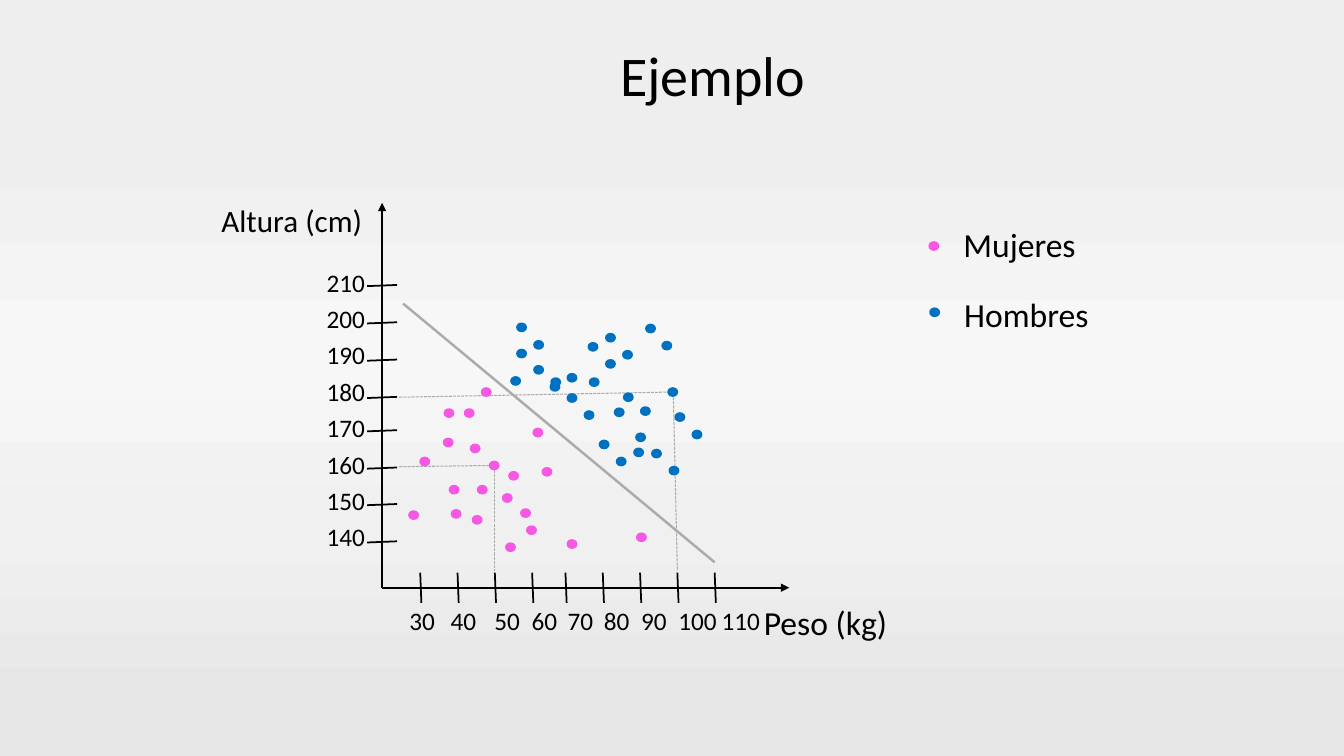
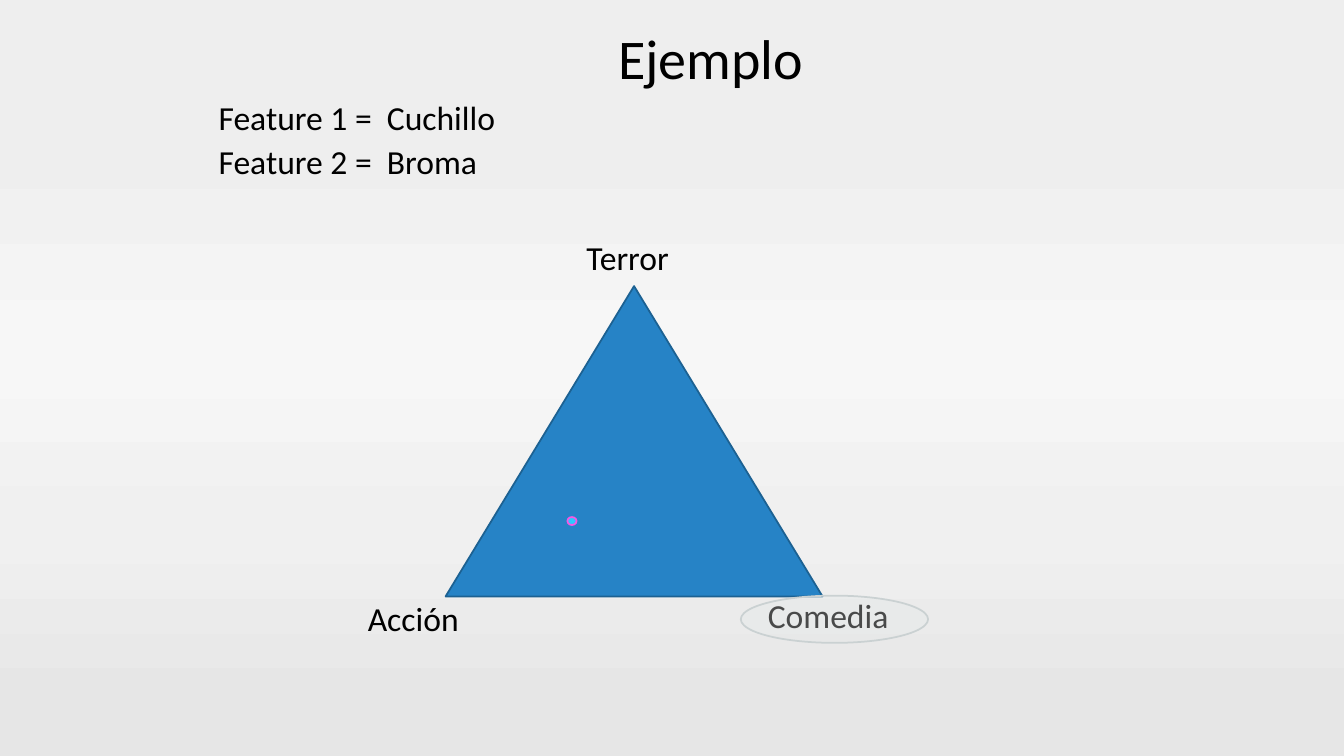
from lxml.etree import SubElement
from pptx import Presentation
from pptx.dml.color import RGBColor
from pptx.enum.dml import MSO_LINE
from pptx.enum.shapes import MSO_CONNECTOR, MSO_SHAPE
from pptx.enum.text import MSO_ANCHOR, PP_ALIGN
from pptx.oxml.ns import qn
from pptx.util import Cm, Pt

FONT = "Calibri"
BLACK, GUIDE_GREY = "000000", "ABABAB"
WOMEN_PINK, MEN_BLUE = "F658E3", "0070C0"
BACKGROUND_STOPS = [(0, "EEEEEE"), (25, "F1F1F1"), (47, "F7F7F7"),
                    (70, "F0F0F0"), (93, "E6E6E6")]

ORIGIN = (9.63, 14.81)
AXIS_TIPS = [(9.63, 5.11), (19.89, 14.81)]
WEIGHT_TICKS = [10.59, 11.53, 12.47, 13.41, 14.25, 15.19, 16.13, 17.07, 18.01]
HEIGHT_TICKS = [7.21, 8.15, 9.09, 10.03, 10.87, 11.81, 12.73, 13.67]
WEIGHT_LABEL_STOPS = [0.76, 1.8, 2.9, 3.84, 4.75, 5.66, 6.6, 7.7, 8.79]
GUIDES = [((10.06, 11.76), (12.34, 11.73)), ((12.47, 11.84), (12.47, 14.38)),
          ((10.06, 10.01), (16.84, 9.88)), ((16.97, 10.01), (17.07, 14.38))]
BOUNDARY = ((10.16, 7.65), (18.01, 14.17))

WOMEN = [
    (12.34, 11.63), (12.04, 12.24), (11.18, 11.05), (13.28, 13.26),
    (12.67, 12.45), (13.44, 10.8), (11.2, 10.31), (11.38, 12.85),
    (13.13, 12.83), (11.33, 12.24), (12.83, 11.89), (11.71, 10.31),
    (12.14, 9.78), (12.75, 13.69), (10.59, 11.53), (13.67, 11.79),
    (11.91, 13), (11.86, 11.2), (10.31, 12.88), (16.05, 13.44),
    (14.3, 13.61),
]
MEN = [
    (16.84, 9.78), (13.03, 8.81), (13.46, 9.22), (13.87, 9.65),
    (15.11, 11.1), (15.54, 11.53), (14.83, 8.64), (15.27, 9.07),
    (13.03, 8.15), (13.46, 8.59), (15.72, 9.91), (14.3, 9.42),
    (15.49, 10.29), (15.98, 11.3), (15.27, 8.41), (15.7, 8.84),
    (17.02, 10.41), (17.45, 10.85), (16.28, 8.18), (16.69, 8.61),
    (12.88, 9.5), (14.86, 9.53), (16.15, 10.26), (13.89, 9.53),
    (14.3, 9.93), (14.73, 10.36), (16.03, 10.92), (16.43, 11.33),
    (16.87, 11.76),
]


def rgb(color):
    return RGBColor.from_string(color)


def apply_format(target, values):
    for attribute, value in values.items():
        setattr(target, attribute, value)


def set_background(master):
    fill = master.background.fill
    fill.gradient()
    fill.gradient_angle = 270
    stops = master.element.find(".//" + qn("a:gsLst"))
    for old_stop in list(stops):
        stops.remove(old_stop)
    for percent, color in BACKGROUND_STOPS:
        stop = SubElement(stops, qn("a:gs"), pos=str(percent * 1000))
        SubElement(stop, qn("a:srgbClr"), val=color)


def add_tab_stops(paragraph, positions, align):
    tabs = SubElement(paragraph._p.get_or_add_pPr(), qn("a:tabLst"))
    for position in positions:
        SubElement(tabs, qn("a:tab"), pos=str(Cm(position)), algn=align)


def add_text(slide, box, lines, size=24, tabs=(), tab_align="l", **paragraph_format):
    """Add one paragraph per line, centred vertically in the box."""
    frame = slide.shapes.add_textbox(*map(Cm, box)).text_frame
    apply_format(frame, {"word_wrap": True, "vertical_anchor": MSO_ANCHOR.MIDDLE})
    spacing = {"space_before": Pt(size * 0.2), "space_after": Pt(6)}
    for index, line in enumerate(lines):
        paragraph = frame.add_paragraph() if index else frame.paragraphs[0]
        apply_format(paragraph, {**spacing, **paragraph_format})
        if tabs:
            add_tab_stops(paragraph, tabs, tab_align)
        run = paragraph.add_run()
        run.text = line
        apply_format(run.font, {"name": FONT, "size": Pt(size)})
        run.font.color.rgb = rgb(BLACK)


def add_title(slide, left, top):
    add_text(slide, (left, top, 27.84, 2.9), ["Ejemplo"], 40,
             alignment=PP_ALIGN.CENTER)


def add_line(slide, start, end, color=BLACK, width=1.25, dash=None, arrow=False):
    connector = slide.shapes.add_connector(
        MSO_CONNECTOR.STRAIGHT, *map(Cm, (*start, *end)))
    line = connector.line
    line.color.rgb = rgb(color)
    apply_format(line, {"width": Pt(width), "dash_style": dash})
    if arrow:
        SubElement(line._get_or_add_ln(), qn("a:tailEnd"), type="triangle")
    SubElement(connector._element.spPr, qn("a:effectLst"))


def add_figure(slide, preset, box, fill, outline, opacity=None):
    figure = slide.shapes.add_shape(preset, *map(Cm, box))
    figure.shadow.inherit = False
    figure.fill.solid()
    figure.fill.fore_color.rgb = rgb(fill)
    figure.line.color.rgb = rgb(outline)
    figure.line.width = Pt(1.25)
    if opacity is not None:
        color = figure._element.spPr.find(qn("a:solidFill"))[0]
        SubElement(color, qn("a:alpha"), val=str(opacity * 1000))


def add_dot(slide, position, fill, outline=None):
    add_figure(slide, MSO_SHAPE.OVAL, (*position, 0.23, 0.2), fill, outline or fill)


def add_axes(slide):
    for tip in AXIS_TIPS:
        add_line(slide, ORIGIN, tip, arrow=True)
    for y in HEIGHT_TICKS:
        add_line(slide, (9.25, y), (10.01, y - 0.03))
    for x in WEIGHT_TICKS:
        add_line(slide, (x, 14.43), (x + 0.03, 15.19))
    add_text(slide, (5.33, 4.85, 4.29, 1.4), ["Altura (cm)"], 22.2)
    add_text(slide, (19, 15.06, 3.81, 1.24), ["Peso (kg)"])
    weights = "".join(f"\t{weight}" for weight in range(30, 111, 10))
    add_text(slide, (9.63, 15.01, 11.91, 1.24), [weights], 18,
             WEIGHT_LABEL_STOPS, "ctr")
    heights = [str(height) for height in range(210, 139, -10)]
    add_text(slide, (7.98, 6.68, 1.83, 7.37), heights, 18,
             line_spacing=Pt(19), space_before=Pt(3), space_after=Pt(4))


def add_legend(slide):
    add_dot(slide, (23.42, 6.1), WOMEN_PINK)
    add_text(slide, (24.03, 5.44, 3.84, 1.42), ["Mujeres"])
    add_dot(slide, (23.44, 7.77), MEN_BLUE)
    add_text(slide, (24.05, 7.29, 3.81, 1.24), ["Hombres"])


def build_scatter(slide):
    add_title(slide, 4.04, 0.41)
    add_axes(slide)
    add_legend(slide)
    for start, end in GUIDES:
        add_line(slide, start, end, GUIDE_GREY, 0.75, MSO_LINE.SQUARE_DOT)
    for people, color in ((WOMEN, WOMEN_PINK), (MEN, MEN_BLUE)):
        for position in people:
            add_dot(slide, position, color)
    add_line(slide, *BOUNDARY, GUIDE_GREY, 1.75)


def build_genres(slide):
    add_title(slide, 3.99, 0)
    add_figure(slide, MSO_SHAPE.FLOWCHART_EXTRACT, (11.23, 7.21, 9.5, 7.82),
               "2683C6", "1C6192")
    for genre, left, top in (("Terror", 14.53, 5.79), ("Acción", 9.02, 14.88),
                             ("Comedia", 19.1, 14.81)):
        add_text(slide, (left, top, 4.29, 1.4), [genre])
    add_dot(slide, (14.3, 13.03), "2DC8FF", WOMEN_PINK)
    for number, (feature, top) in enumerate((("Cuchillo", 2.26), ("Broma", 3.35)), 1):
        add_text(slide, (5.26, top, 8.38, 1.4),
                 [f"Feature {number} =\t{feature}"], tabs=[4.24])
    add_figure(slide, MSO_SHAPE.OVAL, (18.67, 15.01, 4.72, 1.19),
               "E4E8E8", "CAD1D2", opacity=32)


def main():
    deck = Presentation()
    apply_format(deck, {"slide_width": Cm(33.87), "slide_height": Cm(19.05)})
    set_background(deck.slide_master)
    blank = deck.slide_layouts[6]
    for build in (build_scatter, build_genres):
        build(deck.slides.add_slide(blank))
    deck.save("out.pptx")


if __name__ == "__main__":
    main()
